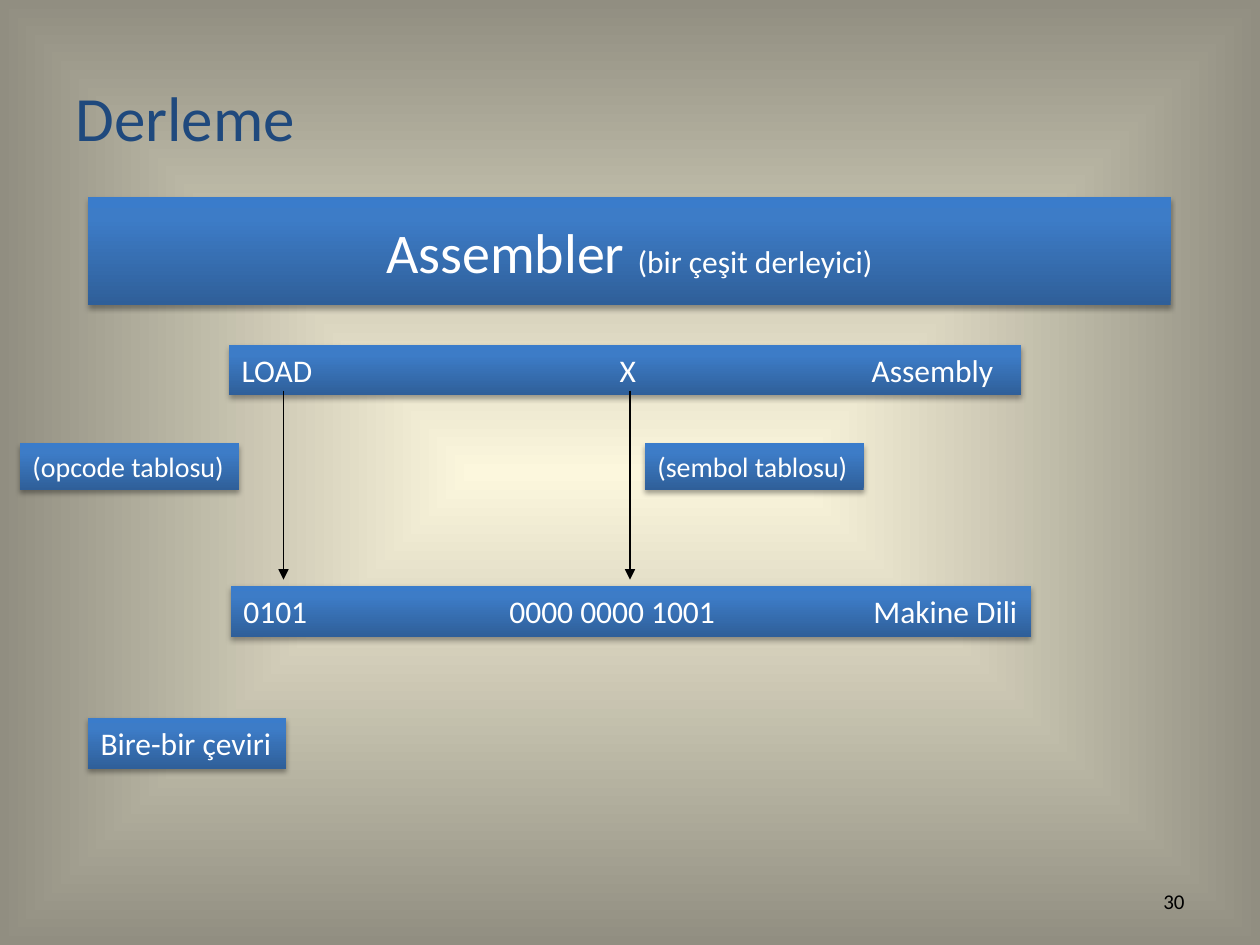
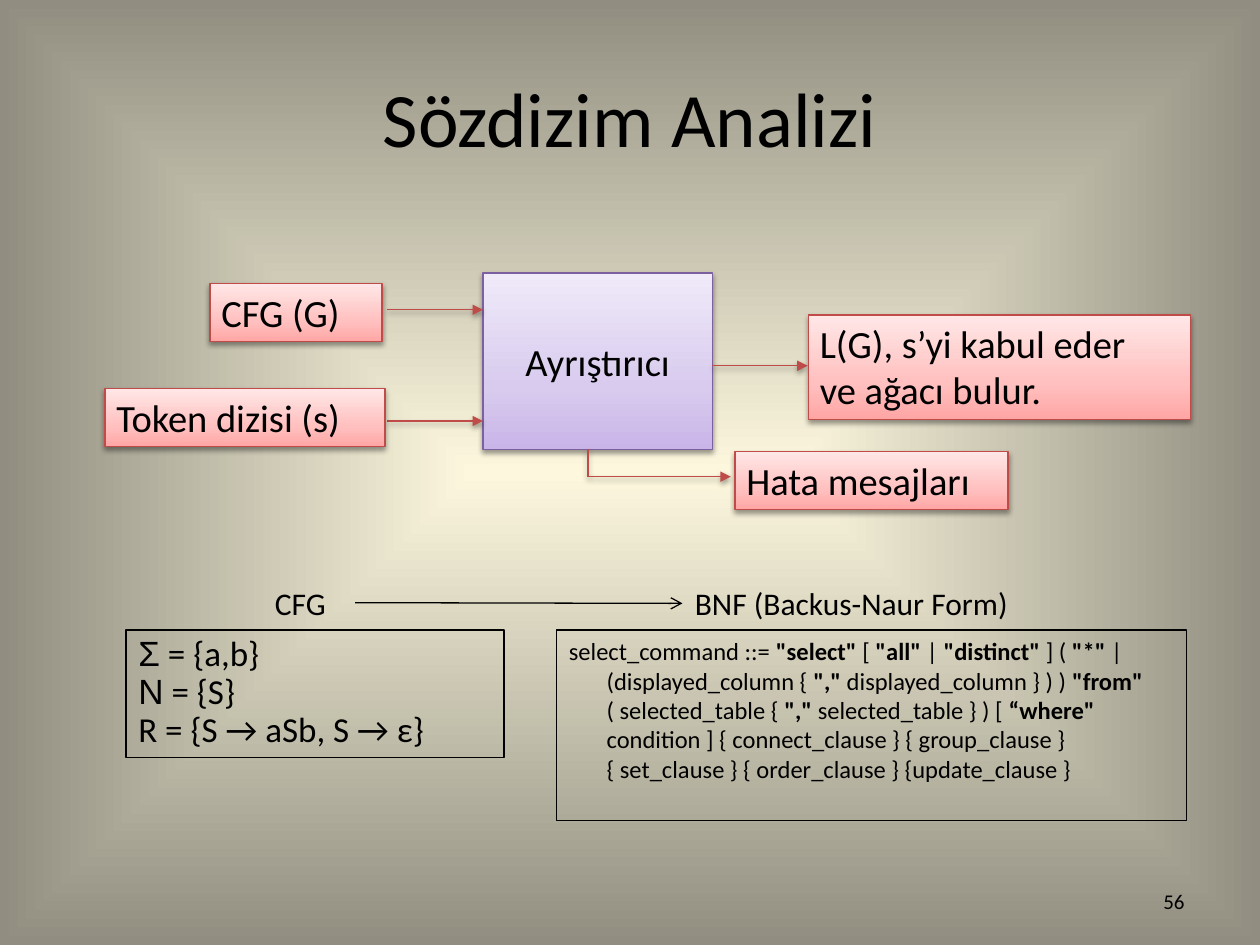
from dataclasses import dataclass

from pptx import Presentation
from pptx.dml.color import RGBColor
from pptx.enum.shapes import MSO_CONNECTOR, MSO_SHAPE
from pptx.enum.text import MSO_ANCHOR, MSO_AUTO_SIZE, PP_ALIGN
from pptx.oxml import parse_xml
from pptx.oxml.ns import nsdecls, qn
from pptx.util import Pt


@dataclass(frozen=True)
class Theme:
    # Colours
    black: str = "000000"
    white: str = "FFFFFF"
    navy: str = "1F497D"
    red: str = "BF4C48"
    purple: str = "7D60A0"
    back: tuple = ((0, "FCF7DD"), (100, "918E81"))
    blues: tuple = ((0, "2F5F99"), (80, "3D7CC7"), (100, "3A7CCB"))
    pinks: tuple = ((0, "FFA6A5"), (35, "FFC0BF"), (100, "FFE7E7"))
    lilacs: tuple = ((0, "C9B5E8"), (35, "D8CBEE"), (100, "F0EAF9"))
    # Shadows: opacity in percent, distance in points
    deep: tuple = (35, 1.8)
    soft: tuple = (38, 1.6)
    # Type
    font: str = "Calibri"
    greek: str = "Arial"
    head: int = 44
    sub: int = 36
    bar: int = 32
    large: int = 22
    rule: int = 20
    body: int = 18
    note: int = 16
    code: int = 14
    page: int = 12
    # Line width and text margins
    line: float = 0.75
    pad: tuple = (7.2, 3.6)
    tight: tuple = (6.5, 3)


@dataclass(frozen=True)
class Run:
    text: str
    size: float = None
    bold: bool = False
    font: str = None


TITLE = (36, 21.6, 648, 90)
PAGE = (516, 500.4, 168, 28.8)


def grade(host, fill, stops, kind):
    """Fill the host element with a gradient of the given stops."""
    fill.gradient()
    marks = "".join(
        f'<a:gs pos="{at * 1000}"><a:srgbClr val="{hue}"/></a:gs>' for at, hue in stops)
    old = host.find(".//" + qn("a:gradFill"))
    old.getparent().replace(old, parse_xml(
        f'<a:gradFill {nsdecls("a")} rotWithShape="1">'
        f"<a:gsLst>{marks}</a:gsLst>{kind}</a:gradFill>"))


def cast(shape, shade):
    """Give a shape or line its shadow, or none."""
    props = shape.element.spPr
    effect = props.find(qn("a:effectLst"))
    if effect is None:
        effect = parse_xml(f'<a:effectLst {nsdecls("a")}/>')
        props.append(effect)
    if shade:
        alpha, dist = shade
        effect.append(parse_xml(
            f'<a:outerShdw {nsdecls("a")} blurRad="{Pt(3.1)}" dist="{Pt(dist)}" '
            f'dir="5400000" rotWithShape="0"><a:srgbClr val="000000">'
            f'<a:alpha val="{alpha * 1000}"/></a:srgbClr></a:outerShdw>'))


class Deck:
    def __init__(self, theme):
        self.theme = theme
        self.file = Presentation()
        self.file.slide_width, self.file.slide_height = Pt(720), Pt(540)
        self.slide = None
        master = self.file.slide_master
        grade(master.element, master.background.fill, theme.back,
              '<a:path path="shape"><a:fillToRect l="50000" t="50000" '
              'r="50000" b="50000"/></a:path>')

    def start(self, page):
        self.slide = self.file.slides.add_slide(self.file.slide_layouts[5])
        self.text(PAGE, page, self.theme.page, align=PP_ALIGN.RIGHT,
                  anchor=MSO_ANCHOR.MIDDLE, wrap=True)

    def label(self, shape, text, size, hue=None, align=PP_ALIGN.LEFT,
              anchor=MSO_ANCHOR.TOP, wrap=False, pad=None, lead=None,
              hang=0, tabs=()):
        """Text is a string, or a list of paragraphs, each a list of runs."""
        frame = shape.text_frame
        frame.word_wrap = wrap
        frame.auto_size = MSO_AUTO_SIZE.NONE if wrap else MSO_AUTO_SIZE.SHAPE_TO_FIT_TEXT
        frame.vertical_anchor = anchor
        side, edge = pad or self.theme.pad
        frame.margin_left = frame.margin_right = Pt(side)
        frame.margin_top = frame.margin_bottom = Pt(edge)
        rows = [[Run(text)]] if isinstance(text, str) else text
        for num, row in enumerate(rows):
            para = frame.add_paragraph() if num else frame.paragraphs[0]
            para.alignment = align
            if lead:
                para.line_spacing = lead
            props = para._p.get_or_add_pPr()
            if hang:
                props.set("marL", str(Pt(hang)))
                props.set("indent", str(-Pt(hang)))
            if tabs:
                stops = "".join(f'<a:tab pos="{Pt(at)}" algn="l"/>' for at in tabs)
                props.append(parse_xml(f'<a:tabLst {nsdecls("a")}>{stops}</a:tabLst>'))
            for part in row:
                run = para.add_run()
                run.text = part.text
                run.font.name = part.font or self.theme.font
                run.font.size = Pt(part.size or size)
                run.font.bold = part.bold
                run.font.color.rgb = RGBColor.from_string(hue or self.theme.black)

    def paint(self, shape, stops=None, line=None, shade=None):
        if stops:
            grade(shape.element.spPr, shape.fill, stops, '<a:lin ang="16200000" scaled="0"/>')
        else:
            shape.fill.background()
        if line:
            shape.line.color.rgb = RGBColor.from_string(line)
            shape.line.width = Pt(self.theme.line)
        else:
            shape.line.fill.background()
        shape.shadow.inherit = False
        cast(shape, shade)

    def title(self, box, text, size, hue=None, stops=None, shade=None):
        shape = self.slide.shapes.title
        shape.left, shape.top, shape.width, shape.height = map(Pt, box)
        if stops:
            self.paint(shape, stops, shade=shade)
        self.label(shape, text, size, hue, PP_ALIGN.CENTER, MSO_ANCHOR.MIDDLE, True)

    def text(self, box, text, size, **style):
        shape = self.slide.shapes.add_textbox(*map(Pt, box))
        self.label(shape, text, size, **style)

    def box(self, box, text, size, stops=None, line=None, shade=None, **style):
        shape = self.slide.shapes.add_shape(MSO_SHAPE.RECTANGLE, *map(Pt, box))
        self.paint(shape, stops, line, shade)
        self.label(shape, text, size, **style)

    def blue(self, box, text, size, tabs=()):
        look = self.theme
        self.box(box, text, size, look.blues, shade=look.deep, hue=look.white, tabs=tabs)

    def pink(self, box, text):
        look = self.theme
        self.box(box, text, look.large, look.pinks, look.red, look.soft, pad=look.tight)

    def line(self, ends, hue=None, tip="triangle", shade=None):
        wire = self.slide.shapes.add_connector(MSO_CONNECTOR.STRAIGHT, *map(Pt, ends))
        wire.line.color.rgb = RGBColor.from_string(hue or self.theme.black)
        wire.line.width = Pt(self.theme.line)
        if tip:
            wire.element.spPr.find(qn("a:ln")).append(
                parse_xml(f'<a:tailEnd {nsdecls("a")} type="{tip}"/>'))
        cast(wire, shade)


def assembly(deck):
    look = deck.theme
    deck.start("30")
    deck.title((50.4, 112.5, 618.5, 61.8),
               [[Run("Assembler "), Run("(bir çeşit derleyici)", look.body)]],
               look.bar, look.white, look.blues, look.deep)
    deck.text(TITLE, "Derleme", look.sub, hue=look.navy, align=PP_ALIGN.JUSTIFY,
              anchor=MSO_ANCHOR.MIDDLE, wrap=True)

    # Source line, arrows and machine code
    deck.blue((131, 197, 452.4, 29), "LOAD\tX\tAssembly", look.body, (216, 360))
    for x in (162, 360):
        deck.line((x, 223.2, x, 331.2))
    deck.blue((132, 334.8, 457.2, 29), "0101\t0000 0000 1001\tMakine Dili",
              look.body, (152, 360))

    # Lookup tables and remark
    for x, name in ((368.6, "(sembol tablosu)"), (11.5, "(opcode tablosu)")):
        deck.blue((x, 253.4, 125, 26.6), name, look.note)
    deck.blue((50.4, 410.4, 113, 29), "Bire-bir çeviri", look.body)


def syntax(deck):
    look = deck.theme
    deck.start("56")
    deck.title(TITLE, "Sözdizim Analizi", look.head)

    # Parser with its inputs and results
    deck.box((276, 156, 131, 100.8), "Ayrıştırıcı", look.large, look.lilacs,
             look.purple, look.soft, align=PP_ALIGN.CENTER,
             anchor=MSO_ANCHOR.MIDDLE, wrap=True, pad=look.tight)
    for ends, tip in (
        ((221.4, 177, 276, 177), "triangle"),
        ((221.4, 240.6, 276, 240.6), "triangle"),
        ((407, 209, 461.5, 209), "triangle"),
        ((336, 256.5, 336, 272.4), None),
        ((336, 272.4, 417.6, 272.4), "triangle"),
    ):
        deck.line(ends, look.red, tip, look.soft)
    for box, text in (
        ((120, 162, 98.4, 33.4), "CFG (G)"),
        ((60, 222, 160, 33.4), "Token dizisi (s)"),
        ((462, 180, 218.4, 59.8), [[Run("L(G), s’yi kabul eder")], [Run("ve ağacı bulur.")]]),
        ((420, 258, 156, 33.4), "Hata mesajları"),
    ):
        deck.pink(box, text)

    # Grammar
    deck.text((150, 330, 52.6, 29), "CFG", look.body)
    deck.box((72, 360, 216, 72.7), [
        [Run("Σ", font=look.greek), Run(" = {a,b} ")],
        [Run("Ν", font=look.greek), Run(" = {S} ")],
        [Run("R = {S → aSb, S → ε}")],
    ], look.rule, line=look.black, align=PP_ALIGN.JUSTIFY, wrap=True, lead=0.9)

    # Backus-Naur form: every second part is a bold literal
    deck.line((203, 344.4, 390, 344.8), tip="arrow")
    deck.text((390, 330, 219.6, 29), "BNF (Backus-Naur Form)", look.body)
    parts = (
        "select_command ::= ", '"select"', " [ ", '"all"', " | ", '"distinct"',
        " ] ( ", '"*"', " | (displayed_column { ", '","',
        " displayed_column } ) ) ", '"from"', " ( selected_table { ", '","',
        " selected_table } ) [ ", '“where"',
        " condition ] { connect_clause } { group_clause } { set_clause }"
        " { order_clause } {update_clause }",
    )
    deck.box((318, 360, 360, 108.7),
             [[Run(part, bold=num % 2 == 1) for num, part in enumerate(parts)]],
             look.code, line=look.black, wrap=True, hang=21.6)


def main():
    deck = Deck(Theme())
    assembly(deck)
    syntax(deck)
    deck.file.save("out.pptx")


if __name__ == "__main__":
    main()
